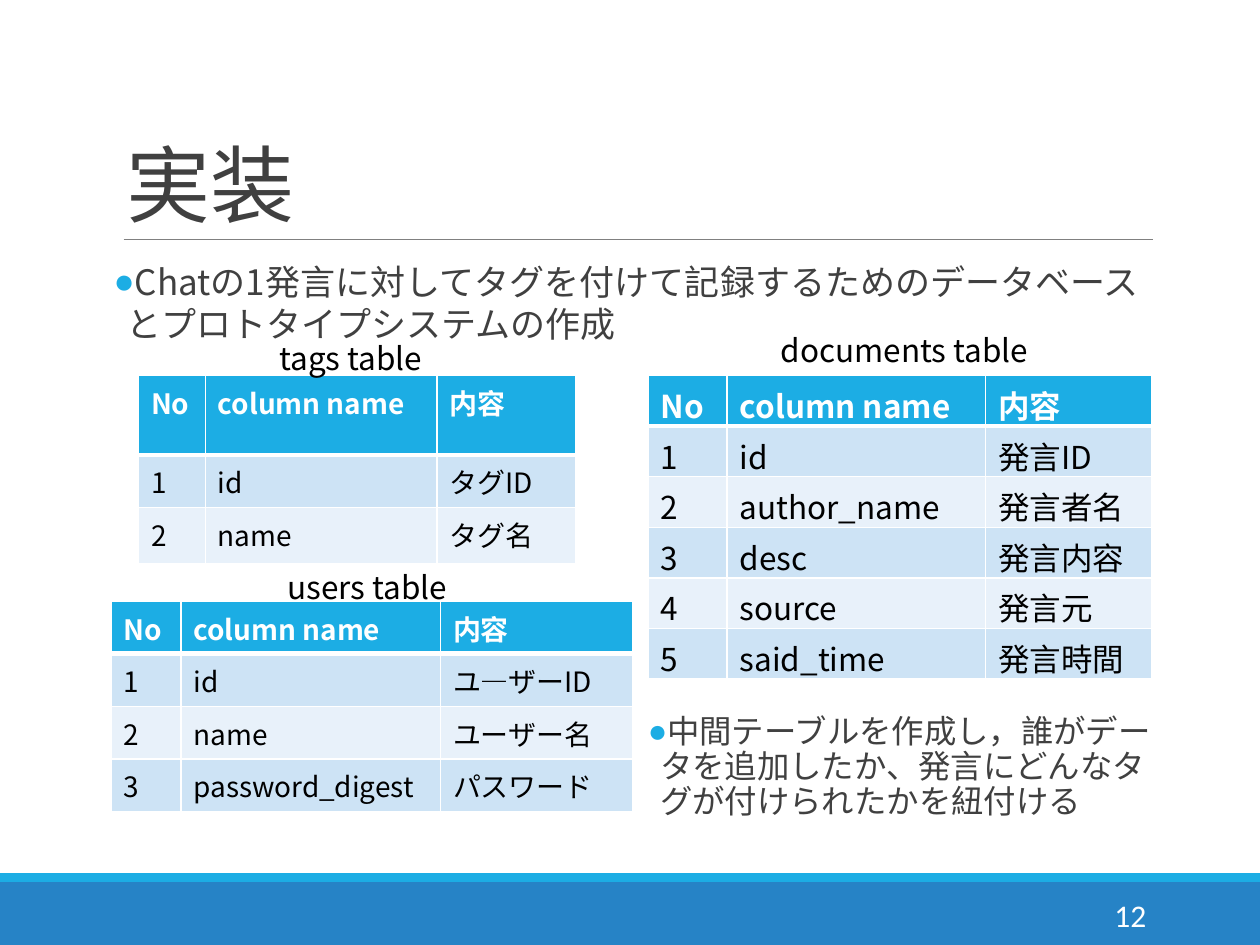
"""Build the slide on the database tables of the tagging system."""
from lxml import etree
from pptx import Presentation
from pptx.dml.color import RGBColor
from pptx.enum.shapes import MSO_CONNECTOR, MSO_SHAPE
from pptx.enum.text import MSO_ANCHOR, MSO_AUTO_SIZE, PP_ALIGN
from pptx.oxml.ns import qn
from pptx.util import Cm, Pt

RECT = MSO_SHAPE.RECTANGLE
LINE = MSO_CONNECTOR.STRAIGHT
LEFT, RIGHT = PP_ALIGN.LEFT, PP_ALIGN.RIGHT
TOP, MIDDLE, BOTTOM = MSO_ANCHOR.TOP, MSO_ANCHOR.MIDDLE, MSO_ANCHOR.BOTTOM
FIXED = MSO_AUTO_SIZE.NONE
SANS = "Noto Sans CJK JP"
CYAN, BLUE, GREY, DARK = "1CADE4", "2683C6", "808080", "404040"
WHITE, BLACK = "FFFFFF", "000000"
BANDS = ["CDE3F5", "E8F1FA"]
HEAD = ["No", "column name", "内容"]


def rgb(code):
    """Turn a hex string into a colour."""
    return RGBColor.from_string(code)


class Deck:
    """Hold the style and the current slide."""

    def __init__(self):
        """Start a deck with one slide."""
        self.file = Presentation()
        self.file.slide_width, self.file.slide_height = Cm(25.4), Cm(19.05)
        self.slide = self.file.slides.add_slide(self.file.slide_layouts[1])
        self.shapes = self.slide.shapes

    def style(self, par, size, color, bold=False, font=SANS):
        """Set the font of a paragraph."""
        par.font.size, par.font.bold, par.font.name = Pt(size), bold, font
        par.font.color.rgb = rgb(color)
        props = par._p.pPr.find(qn("a:defRPr"))
        etree.SubElement(props, qn("a:ea")).set("typeface", font)

    def place(self, shape, box):
        """Move a shape to its box."""
        shape.left, shape.top, shape.width, shape.height = map(Cm, box)

    def bar(self, box, color):
        """Draw a plain band."""
        shape = self.shapes.add_shape(RECT, *map(Cm, box))
        shape.shadow.inherit = False
        shape.fill.solid()
        shape.fill.fore_color.rgb = rgb(color)
        shape.line.fill.background()

    def rule(self, left, right, top):
        """Draw a thin level line."""
        line = self.shapes.add_connector(LINE, Cm(left), Cm(top), Cm(right), Cm(top))
        line.line.color.rgb = rgb(GREY)
        line.line.width = Pt(0.5)
        etree.SubElement(line._element.spPr, qn("a:effectLst"))

    def title(self, text, box):
        """Fill the title."""
        shape = self.shapes.title
        self.place(shape, box)
        frame = shape.text_frame
        frame.text = text
        frame.auto_size, frame.vertical_anchor = FIXED, BOTTOM
        par = frame.paragraphs[0]
        par.alignment, par.line_spacing = LEFT, 0.85
        self.style(par, 48, DARK)

    def point(self, shape, text, box, size, pitch):
        """Fill a shape with one bulleted paragraph."""
        self.place(shape, box)
        frame = shape.text_frame
        frame.text = text
        frame.word_wrap, frame.auto_size, frame.vertical_anchor = True, FIXED, TOP
        frame.margin_left = frame.margin_right = 0
        par = frame.paragraphs[0]
        par.line_spacing, par.space_before, par.space_after = pitch, Pt(0), Pt(2)
        props = par._p.get_or_add_pPr()
        props.set("marL", str(Cm(0.25)))
        props.set("indent", str(-Cm(0.25)))
        tint = etree.SubElement(props, qn("a:buClr"))
        etree.SubElement(tint, qn("a:srgbClr")).set("val", CYAN)
        etree.SubElement(props, qn("a:buFont")).set("typeface", "Arial")
        etree.SubElement(props, qn("a:buChar")).set("char", "●")
        self.style(par, size, DARK)

    def body(self, *args):
        """Fill the body."""
        self.point(self.shapes.placeholders[1], *args)

    def note(self, text, box, size, pitch):
        """Add a bulleted text box."""
        self.point(self.shapes.add_textbox(*map(Cm, box)), text, box, size, pitch)

    def label(self, text, box, color=BLACK, font=SANS, align=LEFT, anchor=TOP):
        """Add one line of text."""
        frame = self.shapes.add_textbox(*map(Cm, box)).text_frame
        frame.text = text
        frame.word_wrap, frame.vertical_anchor = False, anchor
        par = frame.paragraphs[0]
        par.alignment = align
        self.style(par, 18, color, font=font)

    def edge(self, cell):
        """Draw a thick white line below a cell."""
        line = etree.Element(qn("a:lnB"), w=str(Pt(3)))
        fill = etree.SubElement(line, qn("a:solidFill"))
        etree.SubElement(fill, qn("a:srgbClr")).set("val", WHITE)
        cell._tc.get_or_add_tcPr().insert(0, line)

    def table(self, spot, cols, highs, rows, size=16, pads=(0.13, 0.13)):
        """Add a banded table with a header row."""
        area = (*spot, sum(cols), sum(highs))
        grid = self.shapes.add_table(len(highs), len(cols), *map(Cm, area)).table
        for col, wide in zip(grid.columns, cols):
            col.width = Cm(wide)
        for i, (row, high) in enumerate(zip(grid.rows, highs)):
            row.height = Cm(high)
            words = [str(i), *rows[i - 1]] if i else HEAD
            for cell, word in zip(row.cells, words):
                cell.text = word
                cell.margin_top, cell.margin_bottom = map(Cm, pads)
                cell.fill.solid()
                cell.fill.fore_color.rgb = rgb(BANDS[(i - 1) % 2] if i else CYAN)
                par = cell.text_frame.paragraphs[0]
                self.style(par, size, BLACK if i else WHITE, not i)
                if not i:
                    self.edge(cell)


def main():
    """Build and save the slide."""
    deck = Deck()
    deck.bar((0, 17.78, 25.4, 1.27), BLUE)
    deck.bar((0, 17.6, 25.4, 0.18), CYAN)
    deck.rule(2.49, 23.24, 4.82)
    deck.title("実装", (2.29, 0.79, 20.96, 4.04))
    deck.body("Chatの1発言に対してタグを付けて記録するためのデータベースとプロトタイプシステムの作成",
              (2.29, 5.13, 20.96, 11.18), 20, 1.0)
    deck.label("12", (20.62, 17.93, 2.74, 1.02), WHITE, "Calibri", RIGHT, MIDDLE)
    deck.table((2.24, 12.12), (1.41, 5.23, 3.87), [1.06] * 4,
               [("id", "ユ―ザーID"), ("name", "ユーザー名"), ("password_digest", "パスワード")])
    deck.table((2.79, 7.57), (1.35, 4.67, 2.79), (1.6, 1.06, 1.14),
               [("id", "タグID"), ("name", "タグ名")])
    deck.label("users table", (5.54, 11.33, 3.94, 1.02))
    deck.label("tags table", (5.38, 6.71, 3.61, 1.02))
    deck.label("documents table", (15.49, 6.55, 5.72, 1.02))
    deck.table((13.06, 7.57), (1.6, 5.21, 3.35), [1.02] * 6,
               [("id", "発言ID"), ("author_name", "発言者名"), ("desc", "発言内容"),
                ("source", "発言元"), ("said_time", "発言時間")], 18, (0.13, 0))
    deck.note("中間テーブルを作成し，誰がデータを追加したか、発言にどんなタグが付けられたかを紐付ける",
              (13.06, 14.3, 10.62, 2.69), 18.5, 0.9)
    deck.file.save("out.pptx")


if __name__ == "__main__":
    main()
